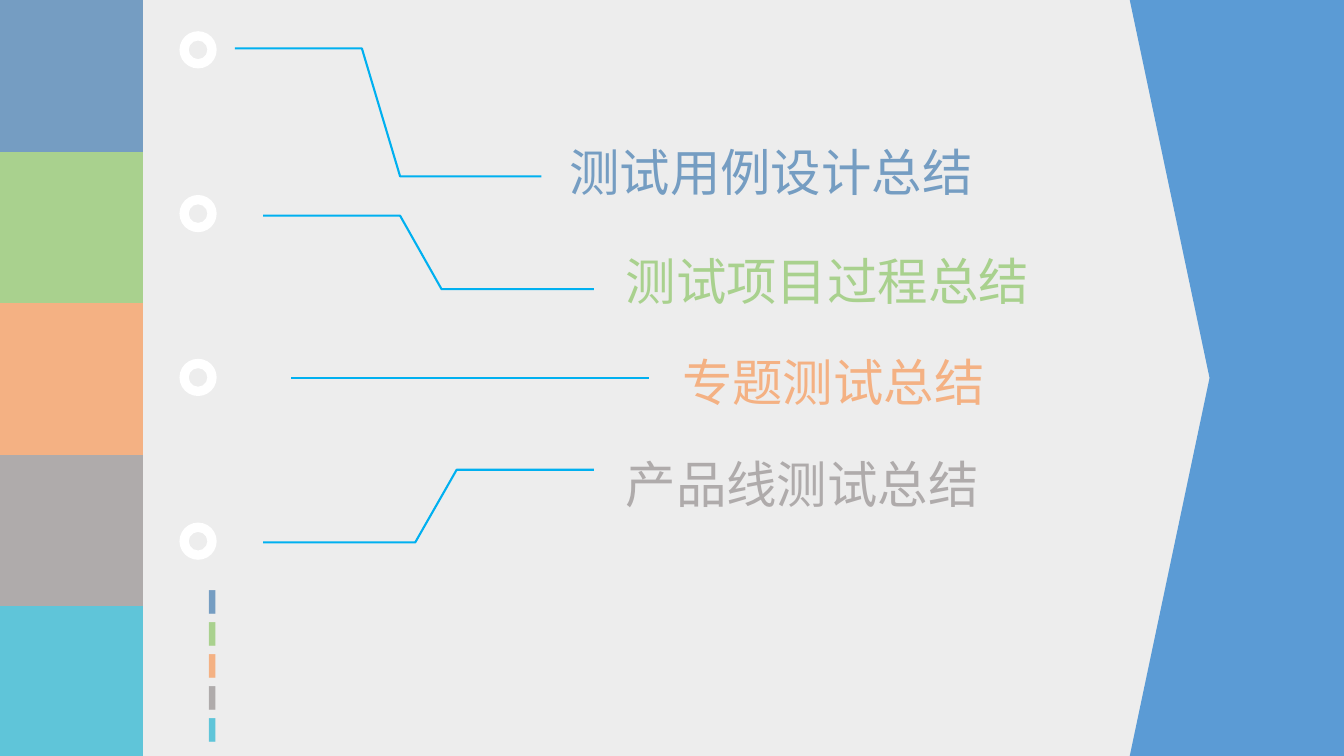
import pptx
import pptx.util
import pptx.dml.color
import pptx.enum.shapes
import pptx.enum.text
import pptx.oxml.ns
import lxml.etree

Pt = pptx.util.Pt
RGB = pptx.dml.color.RGBColor
KIND = pptx.enum.shapes.MSO_SHAPE
qn = pptx.oxml.ns.qn

STEEL = RGB(0x75, 0x9D, 0xC2)
GREEN = RGB(0xA9, 0xD1, 0x8E)
PEACH = RGB(0xF4, 0xB1, 0x83)
GRAY = RGB(0xAF, 0xAB, 0xAB)
TEAL = RGB(0x5F, 0xC5, 0xD9)
BLUE = RGB(0x5B, 0x9B, 0xD5)
CYAN = RGB(0x00, 0xB0, 0xF0)
WHITE = RGB(0xFF, 0xFF, 0xFF)
PAPER = RGB(0xED, 0xED, 0xED)
BANDS = [STEEL, GREEN, PEACH, GRAY, TEAL]
FONT = "Noto Sans CJK SC"
PLAIN = "{2D5ABB26-0587-4C30-8999-92F81FD0307C}"  # table style without grid
WIDE, HIGH = 960, 540
RING, PITCH = 26.6, 117

# label, colour, label offset and route, all relative to the topic's ring
TOPICS = [
    ("测试用例设计总结", STEEL, (271.4, 74.9),
     [(39.6, 12.3), (130.3, 12.3), (157.6, 103.7), (258.4, 103.7)]),
    ("测试项目过程总结", GREEN, (311.7, 35.7),
     [(59.7, 14.8), (157.6, 14.8), (187.2, 67.3), (295.9, 67.3)]),
    ("专题测试总结", PEACH, (352, -9.3),
     [(79.9, 13.7), (335.5, 13.7)]),
    ("产品线测试总结", GRAY, (311.7, -52.9),
     [(295.9, -37.8), (198, -37.8), (168.4, 14.1), (59.7, 14.1)]),
]


def style(run, size, color):
    """Set a run's font for Latin and East Asian text."""
    run.font.size = Pt(size)
    run.font.color.rgb = color
    run.font.name = FONT
    lxml.etree.SubElement(run.font._element, qn("a:ea"), typeface=FONT)


def textbox(slide, x, y, w, h):
    """Add a wrapping text box that grows with its text."""
    box = slide.shapes.add_textbox(Pt(x), Pt(y), Pt(w), Pt(h))
    box.text_frame.word_wrap = True
    box.text_frame.auto_size = pptx.enum.text.MSO_AUTO_SIZE.SHAPE_TO_FIT_TEXT
    return box


def outline(shapes, points, close):
    """Add a freeform through points given in points."""
    first, *rest = [(Pt(x), Pt(y)) for x, y in points]
    pen = shapes.build_freeform(*first, scale=1.0)
    pen.add_line_segments(rest, close=close)
    form = pen.convert_to_shape()
    form.shadow.inherit = False
    return form


def bands(slide, x, y, w, h):
    """Stack the colour bands as a one-column table."""
    frame = slide.shapes.add_table(len(BANDS), 1, Pt(x), Pt(y), Pt(w), Pt(h))
    table = frame.table
    table.first_row = table.horz_banding = False
    table._tbl.tblPr.find(qn("a:tableStyleId")).text = PLAIN
    for row, color in zip(table.rows, BANDS):
        row.height = Pt(h / len(BANDS))
        row.cells[0].fill.solid()
        row.cells[0].fill.fore_color.rgb = color


def dashes(slide, x, y, w, h):
    """Write the dashes, reading upwards, in the band colours."""
    box = textbox(slide, x, y, w, h)
    box.rotation = 270
    para = box.text_frame.paragraphs[0]
    for color in reversed(BANDS):
        run = para.add_run()
        run.text = "-"
        style(run, 66, color)


def topic(slide, x, y, text, color, shift, route):
    """Draw a ring at x, y with its route line and label."""
    box = textbox(slide, x + shift[0], y + shift[1], 368, 51)
    box.text_frame.text = text
    style(box.text_frame.paragraphs[0].runs[0], 36, color)

    group = slide.shapes.add_group_shape().shapes
    ring = group.add_shape(KIND.DONUT, Pt(x), Pt(y), Pt(RING), Pt(RING))
    ring.shadow.inherit = False
    ring.fill.solid()
    ring.fill.fore_color.rgb = WHITE
    ring.line.fill.background()

    points = [(x + dx, y + dy) for dx, dy in route]
    if len(points) == 2:
        ends = [Pt(v) for point in points for v in point]
        line = group.add_connector(
            pptx.enum.shapes.MSO_CONNECTOR.STRAIGHT, *ends)
        lxml.etree.SubElement(line._element.spPr, qn("a:effectLst"))
    else:
        line = outline(group, points, False)
        line.fill.background()
    line.line.color.rgb = CYAN
    line.line.width = Pt(1.5)


def notch(slide, x, y, w, h):
    """Fill the right side, with an arrow-shaped notch on its left."""
    points = [(x, y), (x + w, y), (x + w, y + h), (x, y + h),
              (x + 57, y + h / 2)]
    form = outline(slide.shapes, points, True)
    form.fill.solid()
    form.fill.fore_color.rgb = BLUE
    form.line.fill.background()


def agenda(deck):
    """Build the agenda slide."""
    slide = deck.slides.add_slide(deck.slide_layouts[6])
    slide.background.fill.solid()
    slide.background.fill.fore_color.rgb = PAPER
    bands(slide, 0, 0, 102.2, 541.5)
    dashes(slide, -115.2, 216.7, HIGH, 107.3)
    for i, item in enumerate(TOPICS):
        topic(slide, 128.2, 22.3 + i * PITCH, *item)
    notch(slide, 807, 0, WIDE - 807, HIGH)


deck = pptx.Presentation()
deck.slide_width, deck.slide_height = Pt(WIDE), Pt(HIGH)
agenda(deck)
deck.save("out.pptx")
